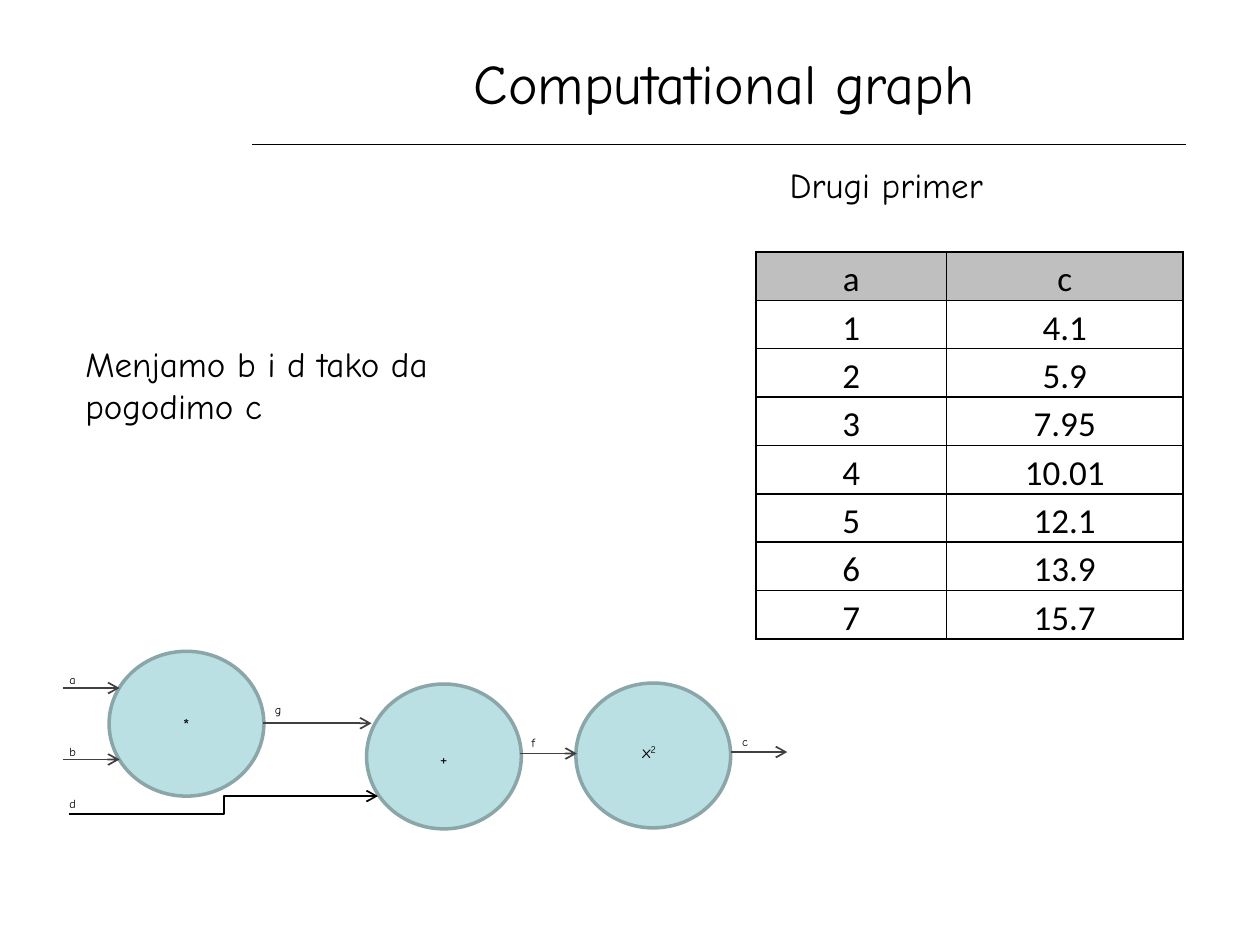
from lxml import etree
from pptx import Presentation
from pptx.dml.color import RGBColor
from pptx.enum.shapes import MSO_CONNECTOR, MSO_SHAPE
from pptx.enum.text import MSO_ANCHOR, PP_ALIGN
from pptx.oxml.ns import qn
from pptx.util import Cm, Pt

STRAIGHT, ELBOW = MSO_CONNECTOR.STRAIGHT, MSO_CONNECTOR.ELBOW
ELLIPSE = MSO_SHAPE.OVAL
LEFT, CENTER = PP_ALIGN.LEFT, PP_ALIGN.CENTER
TOP, MIDDLE = MSO_ANCHOR.TOP, MSO_ANCHOR.MIDDLE

COLORS = {
    "ink": "000000",
    "arrow": "404040",
    "node": "BBE0E3",
    "outline": "8AA6A8",
    "header": "BFBFBF",
}
HEADING_FONT = "Comic Neue"
TABLE_FONT = "Calibri"

SAMPLES = [
    ("a", "c"),
    ("1", "4.1"),
    ("2", "5.9"),
    ("3", "7.95"),
    ("4", "10.01"),
    ("5", "12.1"),
    ("6", "13.9"),
    ("7", "15.7"),
]

NODE_SIZE = (3.12, 2.92)
NODES = [
    ("*", (0.93, 0), (1.36, 1.14)),
    ("+", (6.12, 0.66), (1.35, 1.17)),
    ("x", (10.34, 0.64), (1.09, 1.04)),
]
EDGES = [
    ("a", (0, 0.74), (1.14, 0.74), (0, 0.3)),
    ("b", (0, 2.18), (1.14, 2.18), (0, 1.75)),
    ("g", (4.04, 1.45), (6.22, 1.45), (4.14, 0.91)),
    ("f", (9.22, 2.06), (10.36, 2.06), (9.32, 1.57)),
    ("c", (13.46, 2.03), (14.6, 2.03), (13.56, 1.55)),
    ("d", (0.13, 3.28), (6.35, 2.92), (0, 2.79)),
]


def rgb(name):
    return RGBColor.from_string(COLORS[name])


def write(para, text, size, font=HEADING_FONT, align=LEFT):
    para.alignment = align
    span = para.add_run()
    span.text = text
    span.font.size = Pt(size)
    span.font.name = font
    span.font.color.rgb = rgb("ink")
    return span


def add_text(page, box, text, size, align=LEFT, anchor=TOP, wrap=True):
    frame = page.shapes.add_textbox(*map(Cm, box)).text_frame
    frame.word_wrap = wrap
    frame.vertical_anchor = anchor
    para = frame.paragraphs[0]
    write(para, text, size, align=align)
    return para


def add_line(page, start, end, kind=STRAIGHT, color="ink", width=1, arrow=True):
    line = page.shapes.add_connector(kind, *map(Cm, (*start, *end)))
    line.line.color.rgb = rgb(color)
    line.line.width = Pt(width)
    properties = line._element.spPr
    if arrow:
        etree.SubElement(properties.find(qn("a:ln")), qn("a:tailEnd"), type="arrow")
    etree.SubElement(properties, qn("a:effectLst"))


def add_border(cell, width):
    properties = cell._tc.get_or_add_tcPr()
    for index, side in enumerate(("lnL", "lnR", "lnT", "lnB")):
        border = etree.Element(qn(f"a:{side}"), w=str(Pt(width)))
        fill = etree.SubElement(border, qn("a:solidFill"))
        etree.SubElement(fill, qn("a:srgbClr"), val=COLORS["ink"])
        properties.insert(index, border)


def draw_title(page, box):
    left, top, width, height = box
    add_text(page, box, "Computational graph", 32, align=CENTER, anchor=MIDDLE)
    rule = top + height + 0.3
    add_line(page, (left, rule), (left + width - 0.23, rule), width=0.75, arrow=False)


def draw_samples(page, box):
    left, top, width, height = box
    row_count = len(SAMPLES)
    table = page.shapes.add_table(row_count, 2, *map(Cm, box)).table
    table.columns[0].width = Cm(3.84)
    table.columns[1].width = Cm(width - 3.84)
    for row, values in enumerate(SAMPLES):
        table.rows[row].height = Cm(height / row_count)
        for column, value in enumerate(values):
            cell = table.cell(row, column)
            cell.margin_left = cell.margin_right = Cm(0.18)
            cell.margin_top = cell.margin_bottom = 0
            if row == 0:
                cell.fill.solid()
                cell.fill.fore_color.rgb = rgb("header")
            else:
                cell.fill.background()
            add_border(cell, 1)
            para = cell.text_frame.paragraphs[0]
            para.line_spacing = 1.15
            write(para, value, 20, font=TABLE_FONT, align=CENTER)


def draw_graph(page, box):
    left, top = box[:2]

    def place(point):
        return left + point[0], top + point[1]

    for operator, corner, (shift_x, shift_y) in NODES:
        x, y = place(corner)
        node = page.shapes.add_shape(ELLIPSE, *map(Cm, (x, y, *NODE_SIZE)))
        node.shadow.inherit = False
        node.fill.solid()
        node.fill.fore_color.rgb = rgb("node")
        node.line.color.rgb = rgb("outline")
        node.line.width = Pt(2)
        squared = operator == "x"
        width = 1.19 if squared else 0.38
        label_box = (x + shift_x, y + shift_y, width, 0.69)
        para = add_text(page, label_box, operator, 10, wrap=squared)
        if squared:
            exponent = write(para, "2", 10)
            exponent.font._element.set("baseline", "30000")

    for label, start, end, corner in EDGES:
        level = start[1] == end[1]
        add_line(page, place(start), place(end), kind=STRAIGHT if level else ELBOW,
                 color="arrow" if level else "ink")
        add_text(page, (*place(corner), 0.38, 0.56), label, 7, wrap=False)


def main():
    deck = Presentation()
    deck.slide_width, deck.slide_height = Cm(25.4), Cm(19.05)
    page = deck.slides.add_slide(deck.slide_layouts[6])
    draw_title(page, (5.08, 0.71, 19.05, 1.91))
    add_text(page, (15.67, 3.18, 8.26, 1.12), "Drugi primer", 20)
    draw_samples(page, (15.24, 5.08, 8.61, 7.8))
    add_text(page, (1.47, 6.78, 10.36, 1.96), "Menjamo b i d tako da pogodimo c", 20)
    draw_graph(page, (1.27, 13.13, 14.6, 3.58))
    deck.save("out.pptx")


if __name__ == "__main__":
    main()
